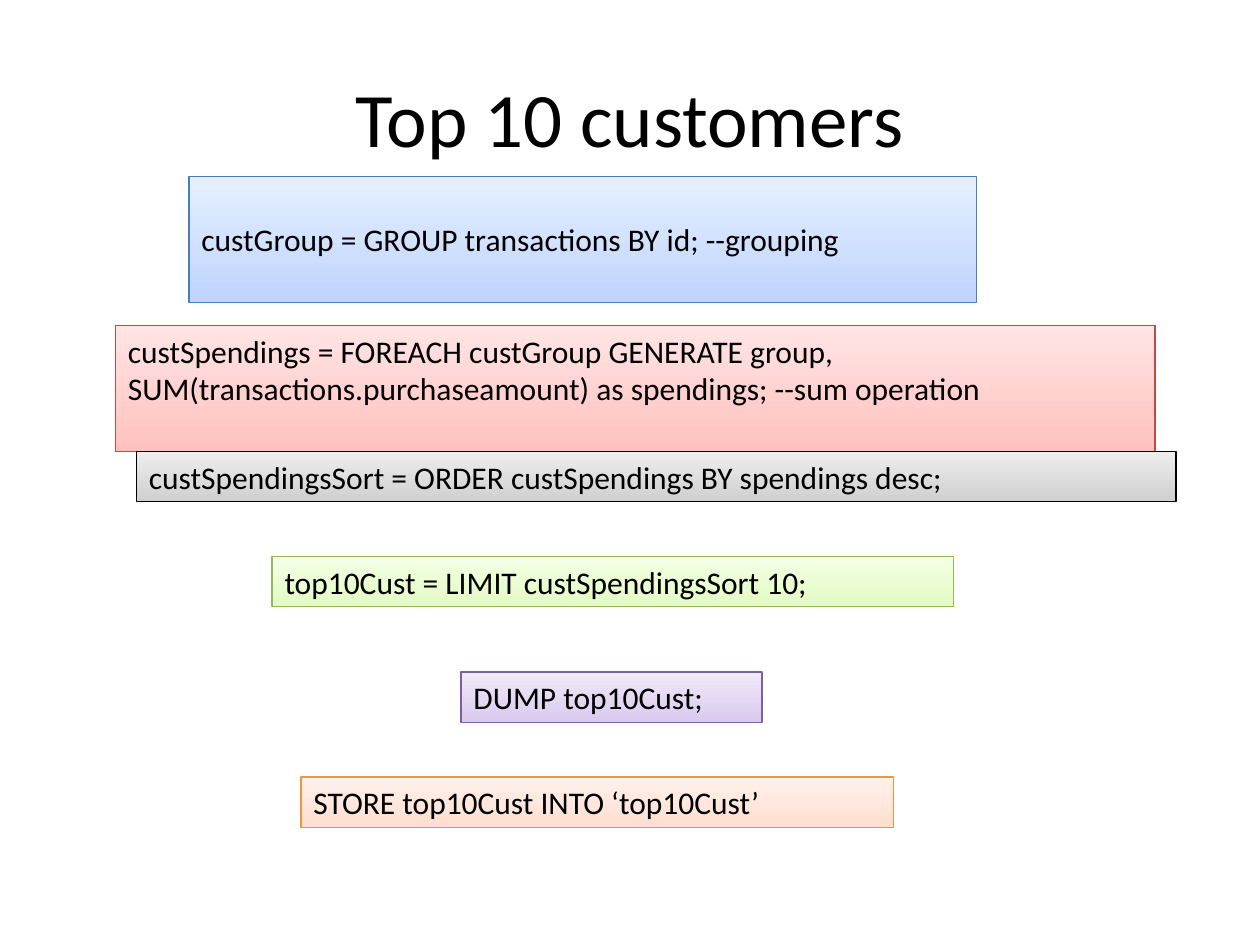
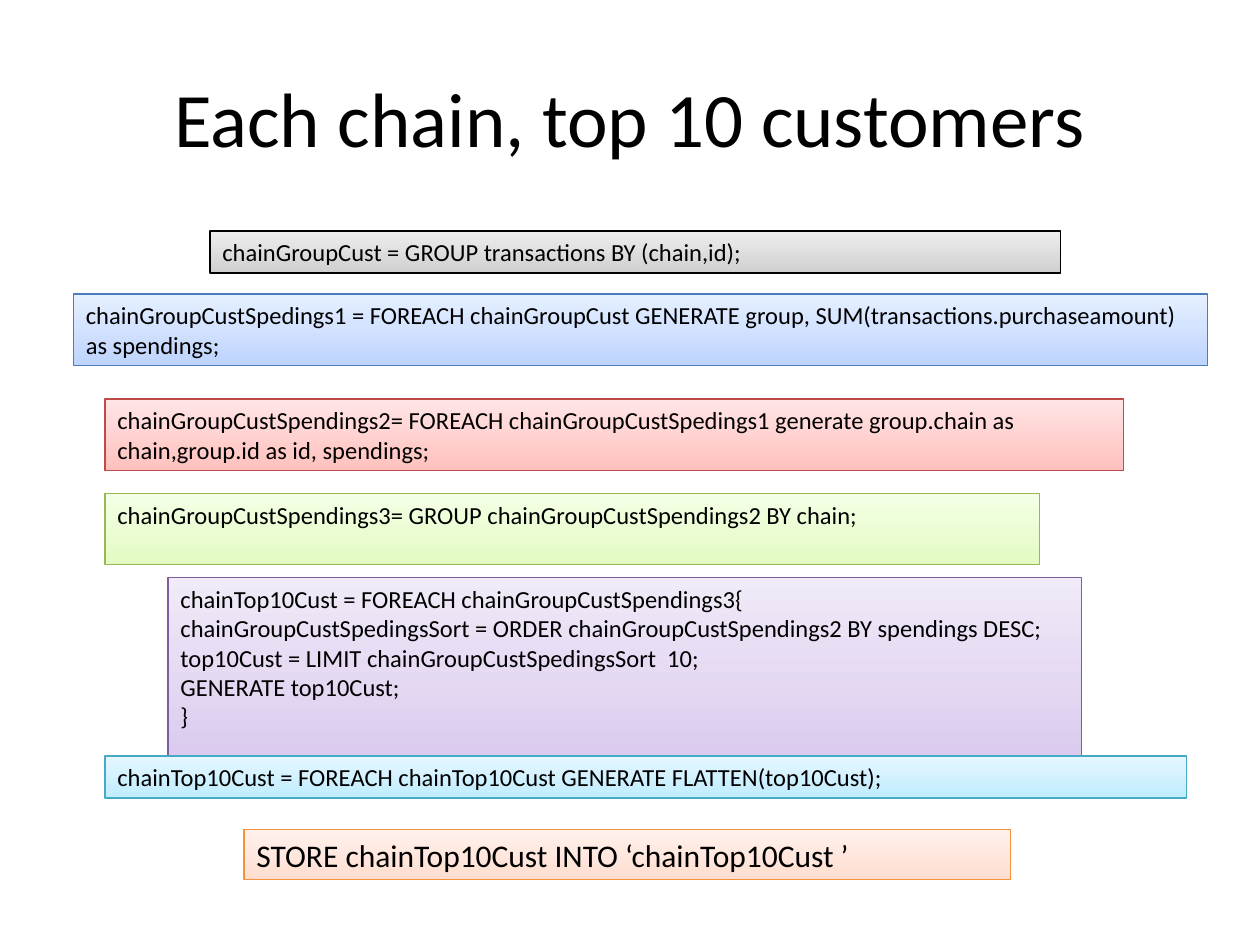
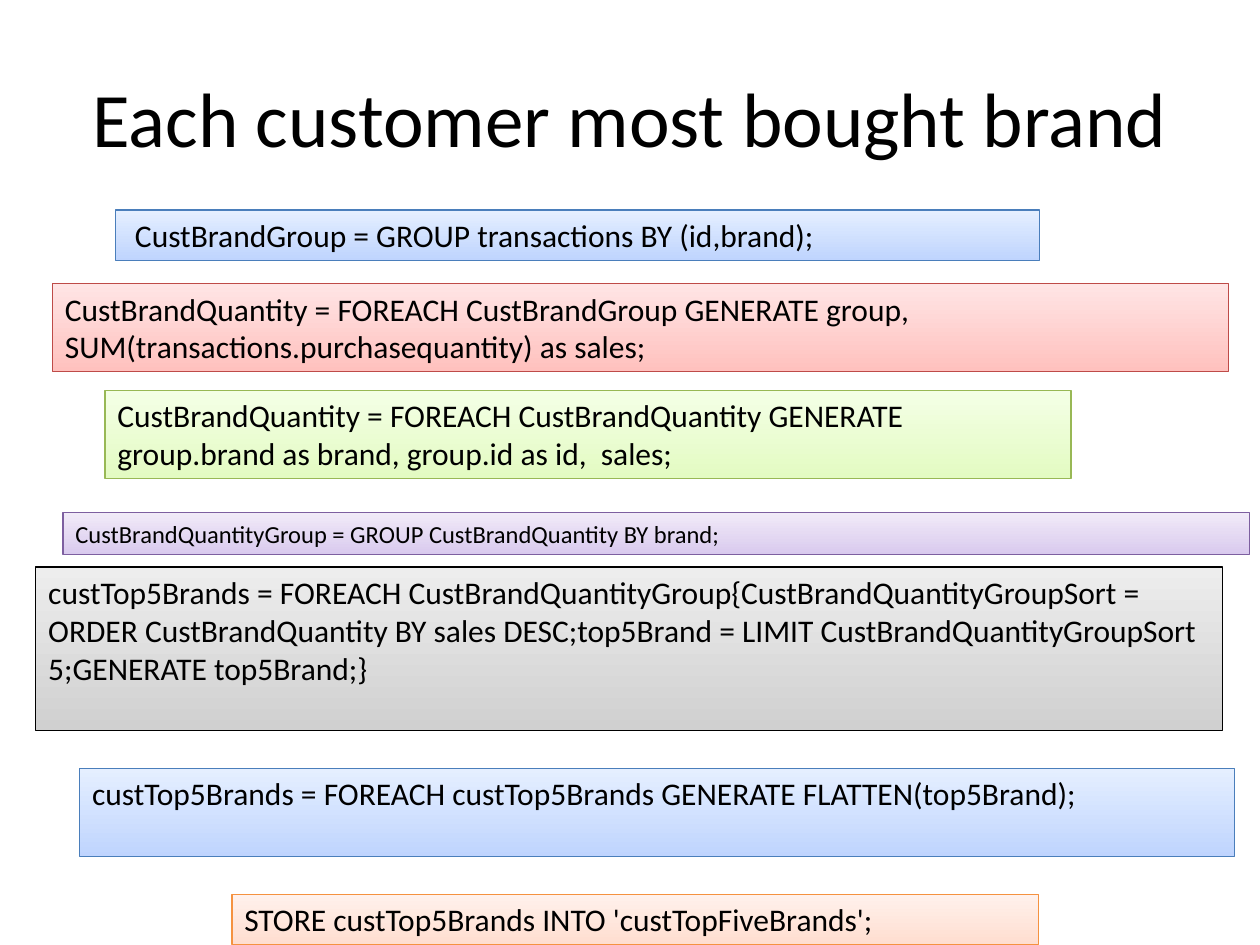
"""Build three slides of query steps shown as coloured code boxes."""
from collections import namedtuple

from pptx import Presentation
from pptx.dml.color import RGBColor
from pptx.enum.shapes import MSO_SHAPE
from pptx.enum.text import MSO_ANCHOR, PP_ALIGN
from pptx.util import Pt

RECTANGLE = MSO_SHAPE.RECTANGLE
TOP, MIDDLE = MSO_ANCHOR.TOP, MSO_ANCHOR.MIDDLE
LEFT, CENTER = PP_ALIGN.LEFT, PP_ALIGN.CENTER

FONT = "Calibri"
BLACK = RGBColor(0x00, 0x00, 0x00)
TITLE_ONLY = 5
TITLE_BOX = (36, 21.6, 648, 90)
TITLE_SIZE = 44
LARGE, SMALL = 18, 14
LINE_SPACING = 1.2
INSET_X, INSET_Y = 7.2, 3.6

Style = namedtuple("Style", "bottom top line")
BLUE = Style(RGBColor(0xBF, 0xD4, 0xFE), RGBColor(0xE5, 0xEF, 0xFF), RGBColor(0x4A, 0x7E, 0xBB))
RED = Style(RGBColor(0xFF, 0xC1, 0xBE), RGBColor(0xFF, 0xE5, 0xE5), RGBColor(0xBE, 0x4B, 0x48))
GRAY = Style(RGBColor(0xD0, 0xD0, 0xD0), RGBColor(0xED, 0xED, 0xED), BLACK)
GREEN = Style(RGBColor(0xE3, 0xFB, 0xC2), RGBColor(0xF4, 0xFF, 0xE6), RGBColor(0x98, 0xB8, 0x55))
PURPLE = Style(RGBColor(0xD9, 0xCA, 0xEE), RGBColor(0xF1, 0xEA, 0xF8), RGBColor(0x7D, 0x5F, 0xA0))
CYAN = Style(RGBColor(0xBF, 0xEC, 0xFF), RGBColor(0xE6, 0xF7, 0xFF), RGBColor(0x46, 0xAA, 0xC4))
ORANGE = Style(RGBColor(0xFF, 0xDE, 0xD0), RGBColor(0xFF, 0xF1, 0xEC), RGBColor(0xF5, 0x92, 0x40))

Step = namedtuple("Step", "style left top width lines size code anchor", defaults=(TOP,))
SLIDES = [
    ("Top 10 customers", [
        Step(BLUE, 108, 100.8, 450, 3, LARGE,
             "custGroup = GROUP transactions BY id; --grouping", MIDDLE),
        Step(RED, 66, 186, 594, 3, LARGE,
             "custSpendings = FOREACH custGroup GENERATE group, "
             "SUM(transactions.purchaseamount) as spendings; --sum operation"),
        Step(GRAY, 78, 258, 594, 1, LARGE,
             "custSpendingsSort = ORDER custSpendings BY spendings desc;"),
        Step(GREEN, 155.5, 318, 389.5, 1, LARGE, "top10Cust = LIMIT custSpendingsSort 10;"),
        Step(PURPLE, 263.5, 384, 172, 1, LARGE, "DUMP top10Cust;"),
        Step(ORANGE, 172, 444, 338.5, 1, LARGE, "STORE top10Cust INTO ‘top10Cust’"),
    ]),
    ("Each chain, top 10 customers", [
        Step(GRAY, 120, 132, 486, 1, SMALL, "chainGroupCust = GROUP transactions BY (chain,id);"),
        Step(BLUE, 42, 168, 648, 2, SMALL,
             "chainGroupCustSpedings1 = FOREACH chainGroupCust GENERATE group, "
             "SUM(transactions.purchaseamount) as spendings;"),
        Step(RED, 60, 228, 582, 2, SMALL,
             "chainGroupCustSpendings2= FOREACH chainGroupCustSpedings1 generate "
             "group.chain as chain,group.id as id, spendings;"),
        Step(GREEN, 60, 282, 534, 2, SMALL,
             "chainGroupCustSpendings3= GROUP chainGroupCustSpendings2 BY chain;"),
        Step(PURPLE, 96, 330, 522, 6, SMALL,
             "chainTop10Cust = FOREACH chainGroupCustSpendings3{\n"
             "chainGroupCustSpedingsSort = ORDER chainGroupCustSpendings2 BY spendings DESC;\n"
             "top10Cust = LIMIT chainGroupCustSpedingsSort  10;\n"
             "GENERATE top10Cust;\n"
             "}"),
        Step(CYAN, 60, 432, 618, 1, SMALL,
             "chainTop10Cust = FOREACH chainTop10Cust GENERATE FLATTEN(top10Cust);"),
        Step(ORANGE, 139.5, 474, 438, 1, LARGE, "STORE chainTop10Cust INTO ‘chainTop10Cust ’"),
    ]),
    ("Each customer most bought brand", [
        Step(BLUE, 66, 120, 528, 1, LARGE, " CustBrandGroup = GROUP transactions BY (id,brand);"),
        Step(RED, 30, 162, 672, 2, LARGE,
             "CustBrandQuantity = FOREACH CustBrandGroup GENERATE group, "
             "SUM(transactions.purchasequantity) as sales;"),
        Step(GREEN, 60, 223, 552, 2, LARGE,
             "CustBrandQuantity = FOREACH CustBrandQuantity GENERATE "
             "group.brand as brand, group.id as id,  sales;"),
        Step(PURPLE, 36, 293, 678, 1, SMALL,
             "CustBrandQuantityGroup = GROUP CustBrandQuantity BY brand;"),
        Step(GRAY, 20.5, 324, 678, 4, LARGE,
             "custTop5Brands = FOREACH CustBrandQuantityGroup{CustBrandQuantityGroupSort = "
             "ORDER CustBrandQuantity BY sales DESC;top5Brand = LIMIT "
             "CustBrandQuantityGroupSort  5;GENERATE top5Brand;}"),
        Step(BLUE, 45.5, 439, 660, 2, LARGE,
             "custTop5Brands = FOREACH custTop5Brands GENERATE FLATTEN(top5Brand);"),
        Step(ORANGE, 132.5, 511, 461, 1, LARGE,
             "STORE custTop5Brands INTO 'custTopFiveBrands';"),
    ]),
]


def format_text(text_frame, size, alignment):
    for paragraph in text_frame.paragraphs:
        paragraph.alignment = alignment
        paragraph.font.name = FONT
        paragraph.font.size = Pt(size)
        paragraph.font.color.rgb = BLACK


def set_title(slide, text):
    title = slide.shapes.title
    title.left, title.top, title.width, title.height = map(Pt, TITLE_BOX)
    title.text_frame.text = text
    title.text_frame.vertical_anchor = MIDDLE
    format_text(title.text_frame, TITLE_SIZE, CENTER)


def add_step(slide, step):
    height = step.lines * step.size * LINE_SPACING + 2 * INSET_Y
    box = slide.shapes.add_shape(
        RECTANGLE, Pt(step.left), Pt(step.top), Pt(step.width), Pt(height))
    box.shadow.inherit = False
    box.fill.gradient()
    box.fill.gradient_angle = 90
    for stop, color in zip(box.fill.gradient_stops, (step.style.bottom, step.style.top)):
        stop.color.rgb = color
    box.line.color.rgb = step.style.line
    box.line.width = Pt(0.75)
    text_frame = box.text_frame
    text_frame.word_wrap = True
    text_frame.vertical_anchor = step.anchor
    text_frame.margin_left = text_frame.margin_right = Pt(INSET_X)
    text_frame.margin_top = text_frame.margin_bottom = Pt(INSET_Y)
    text_frame.text = step.code
    format_text(text_frame, step.size, LEFT)


def main():
    presentation = Presentation()
    presentation.slide_width, presentation.slide_height = Pt(720), Pt(540)
    for title, steps in SLIDES:
        slide = presentation.slides.add_slide(presentation.slide_layouts[TITLE_ONLY])
        set_title(slide, title)
        for step in steps:
            add_step(slide, step)
    presentation.save("out.pptx")


if __name__ == "__main__":
    main()
